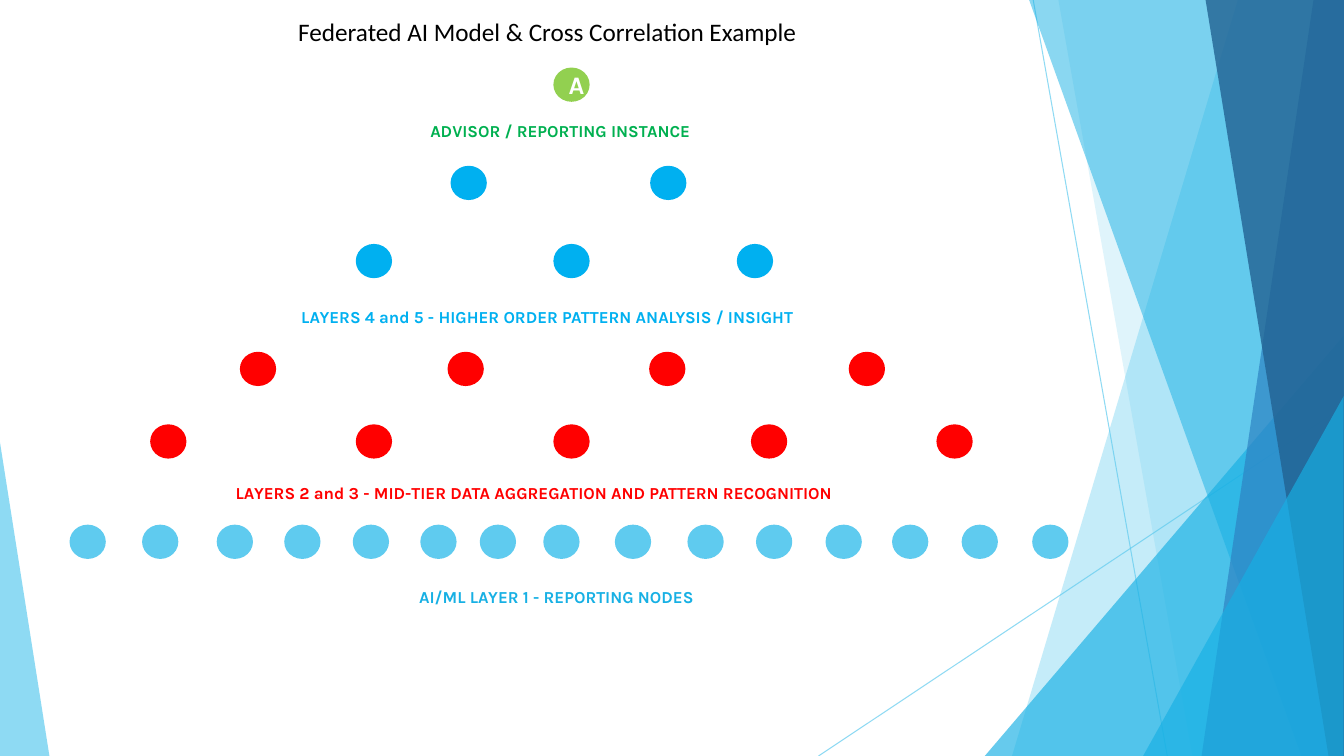
"""Build the federated AI model slide on a grid of tenth-inch cells."""
from lxml import etree
from pptx import Presentation, util as u
from pptx.dml import color
from pptx.enum import shapes, text
from pptx.oxml import ns

COLS, ROWS = 133.33, 75
SKY, AZURE, BLUE = "5FCBEF", "17B0E4", "00B0F0"
RED, LIME, GREEN = "FF0000", "92D050", "00B050"
WHITE, BLACK = "FFFFFF", "000000"

RAYS = [((102.5, 0), (115.8, ROWS)), ((COLS, 40.3), (81.2, ROWS))]
BACK = [
    ([(122.8, 0), (COLS, 0), (COLS, ROWS), (100.4, ROWS)], SKY, 36),
    ([(105, 0), (COLS, 0), (COLS, ROWS), (118.3, ROWS)], SKY, 20),
]
FRONT = [
    ([(102.1, 0), (COLS, 0), (COLS, ROWS), (129.1, ROWS)], AZURE, 50),
    ([(130.3, 0), (COLS, 0), (COLS, ROWS), (119.2, ROWS)], "2E83C3", 70),
    ([(119.6, 0), (COLS, 0), (COLS, ROWS), (131.8, ROWS)], "226292", 80),
]
TIERS = [
    (16.45, BLUE, [44.7, 64.5]),
    (24.2, BLUE, [35.3, 54.9, 73.1]),
    (34.9, RED, [23.8, 44.4, 64.4, 84.2]),
    (42.1, RED, [14.9, 35.3, 54.9, 74.5, 92.9]),
    (52.05, SKY, [6.9, 14.1, 21.5, 28.2, 35, 41.7, 47.6, 53.9,
                  61, 68.2, 75, 81.9, 88.5, 95.4, 102.4]),
]
LABELS = [
    ((41.7, 11.5, 30.2, 3), "ADVISOR / REPORTING INSTANCE", GREEN, False),
    ((28.9, 29.9, 59.3, 3),
     "LAYERS 4 and 5 - HIGHER ORDER PATTERN ANALYSIS / INSIGHT", BLUE, True),
    ((22.4, 47.4, 74, 3),
     "LAYERS 2 and 3 - MID-TIER DATA AGGREGATION AND PATTERN RECOGNITION",
     RED, True),
    ((40.6, 57.7, 32.2, 3), "AI/ML LAYER 1 - REPORTING NODES", AZURE, False),
]


def cells(*nums):
    """Turn grid cells into lengths."""
    return [u.Inches(n / 10) for n in nums]


def rgb(code):
    """Read a hex colour."""
    return color.RGBColor.from_string(code)


def fade(shape, share):
    """Set the opacity of a shape's colours in percent."""
    for node in list(shape._element.spPr.iter(ns.qn("a:srgbClr"))):
        etree.SubElement(node, ns.qn("a:alpha"), val=str(share * 1000))


def paint(shape, code, share=100):
    """Give a shape a flat fill with no line or shadow."""
    shape.shadow.inherit = False
    shape.fill.solid()
    shape.fill.fore_color.rgb = rgb(code)
    shape.line.fill.background()
    if share < 100:
        fade(shape, share)


def ray(slide, start, end):
    """Draw a thin pale line."""
    line = slide.shapes.add_connector(
        shapes.MSO_CONNECTOR.STRAIGHT, *cells(*start, *end))
    line.line.color.rgb = rgb(SKY)
    line.line.width = u.Pt(0.75)
    fade(line, 70)
    etree.SubElement(line._element.spPr, ns.qn("a:effectLst"))


def shard(slide, points, code, share):
    """Draw a translucent polygon."""
    first, *rest = [cells(*point) for point in points]
    pen = slide.shapes.build_freeform(*first)
    pen.add_line_segments(rest, close=True)
    paint(pen.convert_to_shape(), code, share)


def wedge(slide, box, peak, code, share):
    """Draw a translucent triangle with its peak at a share of the width."""
    shape = slide.shapes.add_shape(
        shapes.MSO_SHAPE.ISOSCELES_TRIANGLE, *cells(*box))
    shape.adjustments[0] = peak
    paint(shape, code, share)


def dot(slide, left, top, code):
    """Draw one node."""
    shape = slide.shapes.add_shape(
        shapes.MSO_SHAPE.OVAL, *cells(left, top, 3.6, 3.4))
    paint(shape, code)
    return shape


def write(shape, words, size, code, face="Karla", bold=True):
    """Put one styled line of text in a shape."""
    line = shape.text_frame.paragraphs[0]
    line.text = words
    font = line.font
    font.name, font.size, font.bold = face, u.Pt(size), bold
    font.color.rgb = rgb(code)
    return line


def label(slide, box, words, code, wrap, **style):
    """Add a text box that fits its text."""
    shape = slide.shapes.add_textbox(*cells(*box))
    shape.text_frame.word_wrap = wrap
    shape.text_frame.auto_size = text.MSO_AUTO_SIZE.SHAPE_TO_FIT_TEXT
    write(shape, words, style.pop("size", 12), code, **style)


def decor(slide):
    """Draw the facets at the slide's edges."""
    for start, end in RAYS:
        ray(slide, start, end)
    for facet in BACK:
        shard(slide, *facet)
    wedge(slide, (97.7, 33.3, 35.6, 41.7), 1, AZURE, 66)
    for facet in FRONT:
        shard(slide, *facet)
    wedge(slide, (113.4, 39.3, 19.9, 35.7), 1, AZURE, 66)
    wedge(slide, (0, 43.9, 4.9, 31.1), 0, SKY, 70)


def main():
    """Build and save the slide."""
    deck = Presentation()
    deck.slide_width, deck.slide_height = cells(COLS, ROWS)
    slide = deck.slides.add_slide(deck.slide_layouts[6])
    decor(slide)
    for top, code, lefts in TIERS:
        for left in lefts:
            dot(slide, left, top, code)
    head = dot(slide, 54.9, 6.7, LIME)
    head.text_frame.vertical_anchor = text.MSO_ANCHOR.MIDDLE
    write(head, "A", 18, WHITE).alignment = text.PP_ALIGN.CENTER
    for item in LABELS:
        label(slide, *item)
    label(slide, (28.6, 1.1, 56.9, 4),
          "Federated AI Model & Cross Correlation Example", BLACK, False,
          size=18, face="Calibri", bold=False)
    deck.save("out.pptx")


if __name__ == "__main__":
    main()
